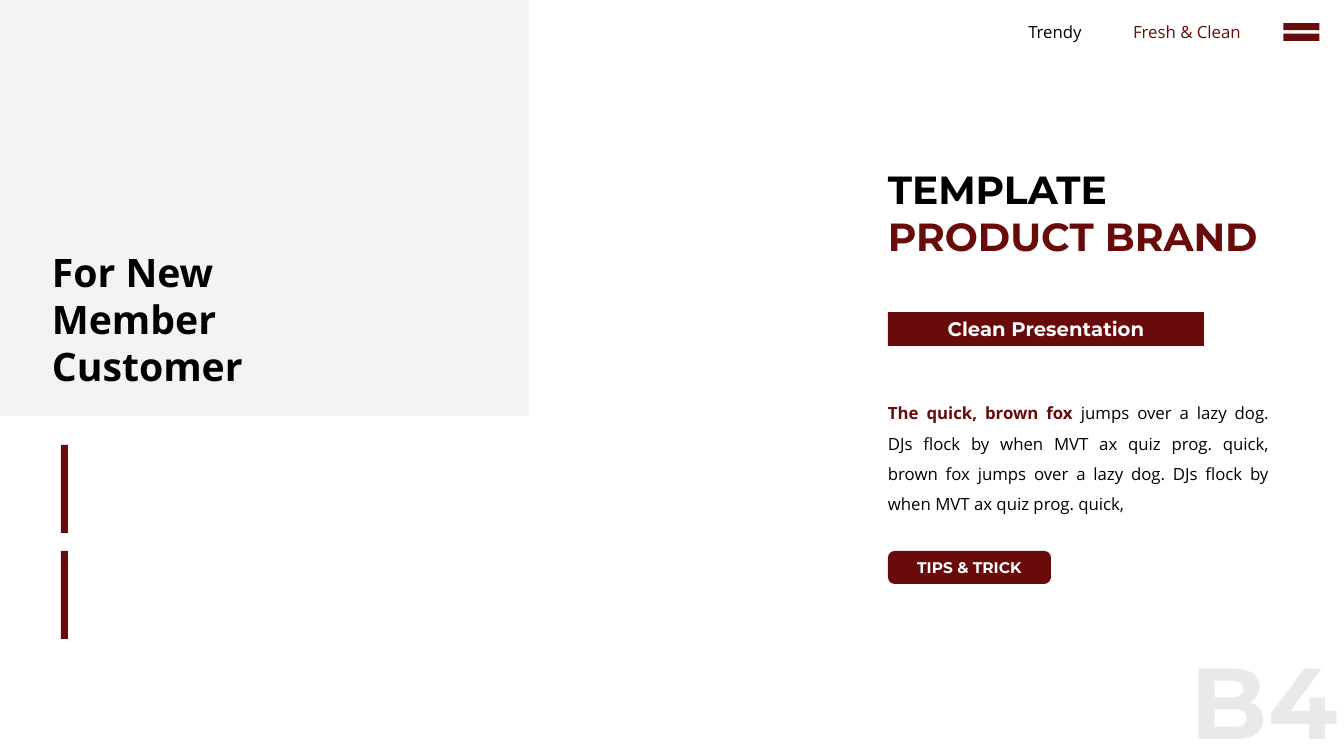
from lxml import etree
from pptx import Presentation
from pptx.dml.color import RGBColor
from pptx.enum.shapes import MSO_SHAPE
from pptx.enum.text import MSO_ANCHOR, MSO_AUTO_SIZE, PP_ALIGN
from pptx.oxml.ns import qn
from pptx.util import Pt

PX = 914400 / 100.8
RECT, ROUNDED, EQUALS = MSO_SHAPE.RECTANGLE, MSO_SHAPE.ROUNDED_RECTANGLE, MSO_SHAPE.MATH_EQUAL
LEFT, CENTER, JUSTIFY = PP_ALIGN.LEFT, PP_ALIGN.CENTER, PP_ALIGN.JUSTIFY
TOP, MIDDLE = MSO_ANCHOR.TOP, MSO_ANCHOR.MIDDLE
GROW = MSO_AUTO_SIZE.SHAPE_TO_FIT_TEXT
COLORS = {"maroon": "690B0B", "black": "000000", "white": "FFFFFF",
          "panel": "F2F2F2", "page": "E9E9E9"}

prs = Presentation()
prs.slide_width, prs.slide_height = round(1344 * PX), round(756 * PX)
slide = prs.slides.add_slide(prs.slide_layouts[6])


def add_block(box, fill, kind=RECT):
    block = slide.shapes.add_shape(kind, *[round(v * PX) for v in box])
    block.shadow.inherit = False
    block.fill.solid()
    block.fill.fore_color.rgb = RGBColor.from_string(COLORS[fill])
    block.line.fill.background()
    return block


def add_text(runs, box=None, block=None, size=12, font="Open Sans", align=LEFT,
             anchor=TOP, wrap=True, spacing=None, inset=True):
    """Write (text, color, bold) runs into a block, or into a new text box."""
    holder = block or slide.shapes.add_textbox(*[round(v * PX) for v in box])
    frame = holder.text_frame
    frame.word_wrap = wrap
    frame.vertical_anchor = anchor
    if not wrap:
        frame.auto_size = GROW
    if not inset:
        frame.margin_left = frame.margin_right = 0
        frame.margin_top = frame.margin_bottom = 0
    paragraph = frame.paragraphs[0]
    paragraph.alignment = align
    if spacing:
        paragraph.line_spacing = spacing
    for text, color, bold in runs:
        run = paragraph.add_run()
        run.text = text
        run.font.name = font
        run.font.size = Pt(size)
        run.font.bold = bold
        run.font.color.rgb = RGBColor.from_string(COLORS[color])


# Grey panel with the customer heading
panel = add_block((0, 0, 529, 416), "panel")
panel_color = panel.fill._xPr.find(qn("a:solidFill"))[0]
etree.SubElement(panel_color, qn("a:alpha"), val="90000")
add_text([("For New Member Customer", "black", True)], (42, 243, 251, 152), size=28)

# Accent bars
for bar_top in (445, 551):
    add_block((61, bar_top, 7, 88), "maroon")

# Top navigation
for label, color, left, width in (("Trendy", "black", 1017, 76),
                                  ("Fresh & Clean", "maroon", 1122, 130)):
    add_text([(label, color, False)], (left, 17, width, 30), align=CENTER, wrap=False)
add_block((1277, 17, 49, 30), "maroon", EQUALS)

# Title
add_text([("TEMPLATE ", "black", True), ("PRODUCT BRAND", "maroon", True)],
         (878, 160, 414, 105), size=28, font="Montserrat")

# Subtitle band and button
band = add_block((888, 312, 316, 34), "maroon")
add_text([("Clean Presentation", "white", True)], block=band, size=14,
         font="Montserrat", align=CENTER)
button = add_block((888, 551, 163, 33), "maroon", ROUNDED)
button.adjustments[0] = 0.2
add_text([("TIPS & TRICK", "white", True)], block=button, size=11,
         font="Montserrat", align=CENTER, anchor=MIDDLE)

# Body copy
add_text([("The quick, brown fox ", "maroon", True),
          ("jumps over a lazy dog. DJs flock by when MVT ax quiz prog. quick, "
           "brown fox jumps over a lazy dog. DJs flock by when MVT ax quiz prog. quick, ",
           "black", False)],
         (878, 388, 401, 129), align=JUSTIFY, spacing=1.5)

# Page mark
add_text([("B4", "page", True)], (1191, 639, 153, 117), size=72,
         font="Montserrat", wrap=False, inset=False)

prs.save("out.pptx")
